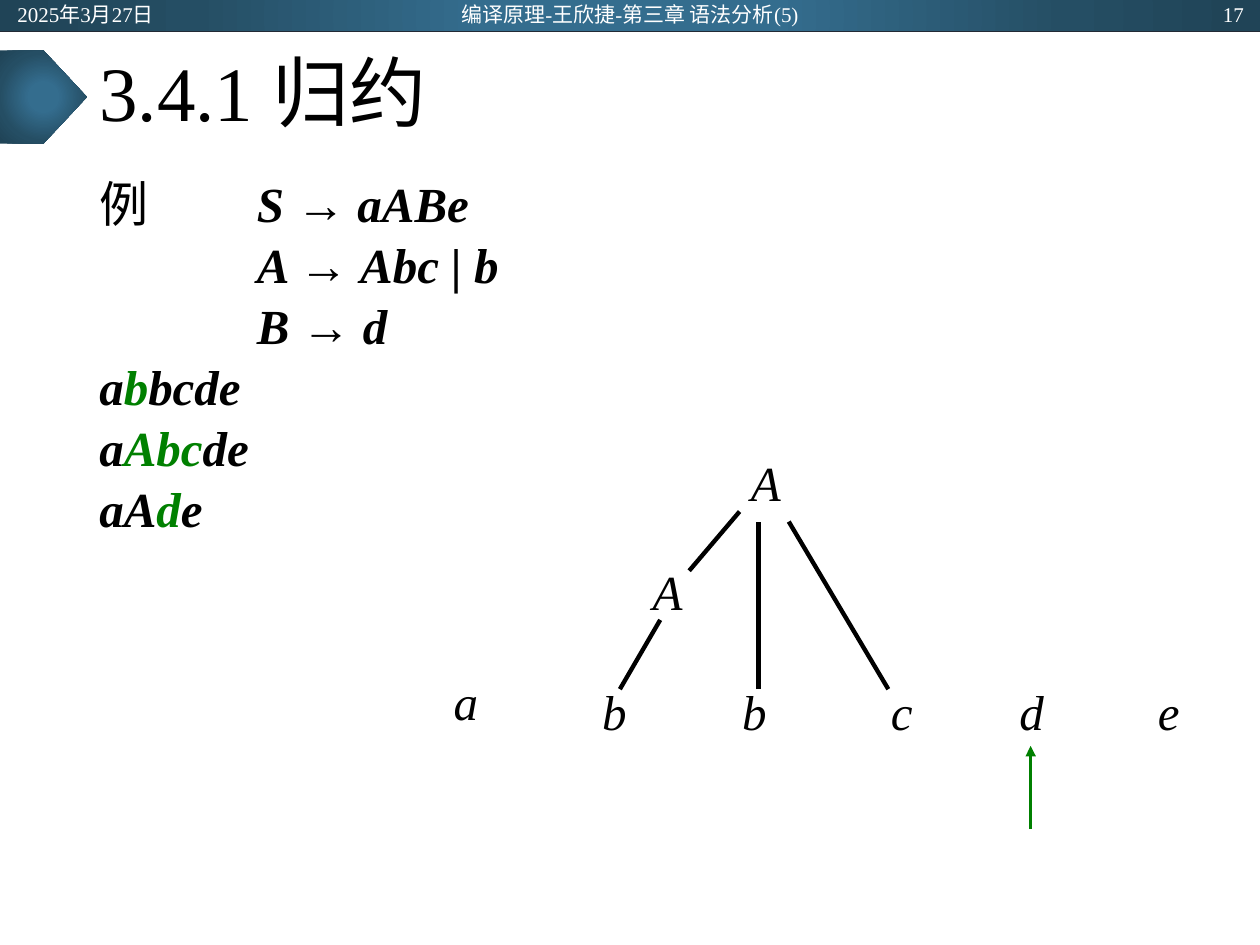
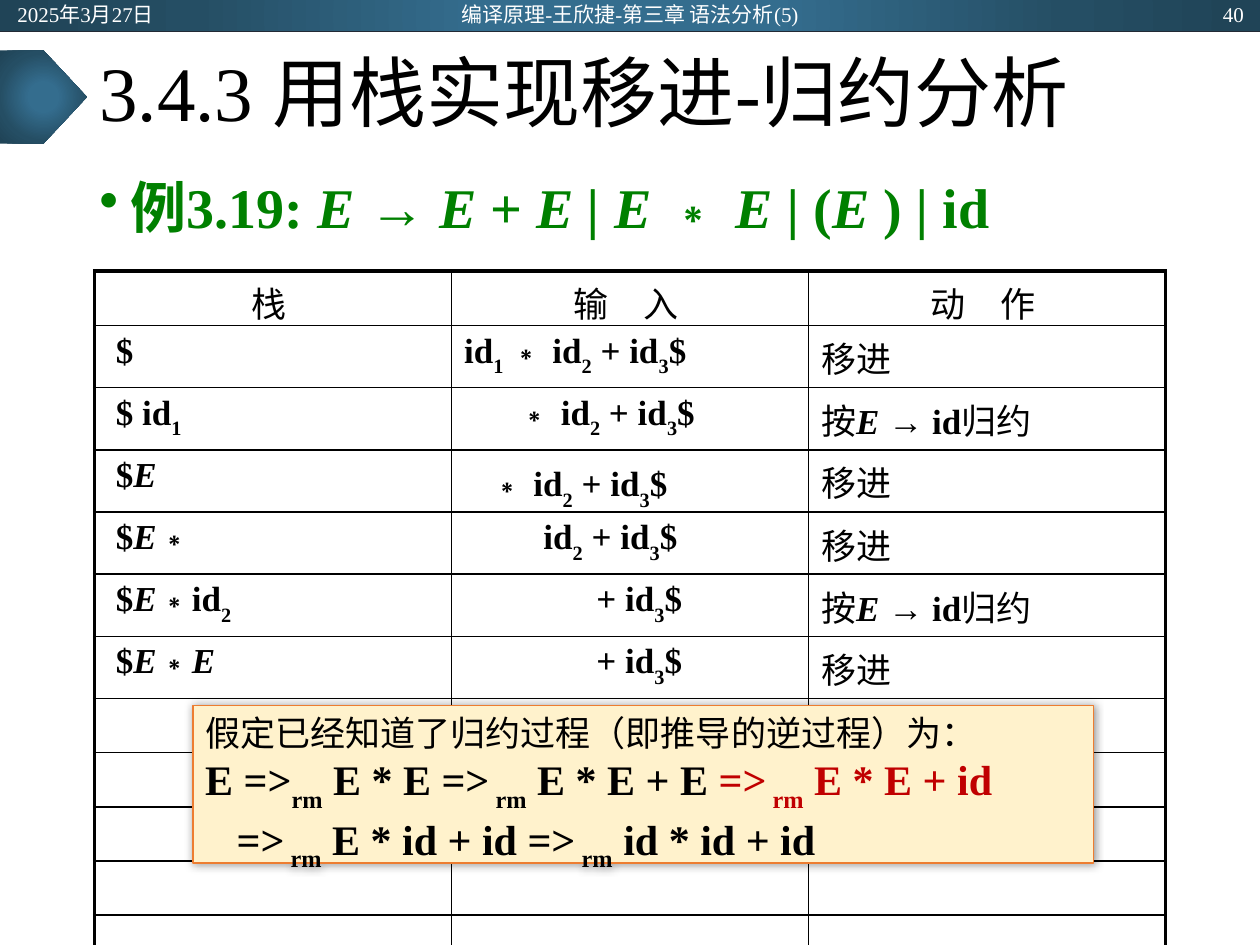
from lxml.etree import SubElement
from pptx import Presentation
from pptx.dml.color import RGBColor
from pptx.enum.shapes import MSO_CONNECTOR, MSO_SHAPE
from pptx.enum.text import MSO_ANCHOR, PP_ALIGN
from pptx.oxml import parse_xml
from pptx.oxml.ns import nsdecls, qn
from pptx.util import Inches, Pt

LATIN, CHINESE = "Times New Roman", "Noto Sans CJK SC"
BLACK, WHITE, GREEN, RED = "000000", "FFFFFF", "008000", "C00000"
BAND_STOPS = [(0, "346D8E"), (23, "346D8E"), (69, "254E64"), (97, "204457")]
DATE, COURSE = "2025年3月27日", "编译原理-王欣捷-第三章 语法分析(5)"
SPACE_WIDTH = 0.07


def color(value):
    """Turn a hex string into a colour."""
    return RGBColor.from_string(value)


class Deck:
    """Holds the shared style and the slide being built."""

    def __init__(self):
        """Start an empty presentation."""
        self.presentation = Presentation()
        self.presentation.slide_width = Inches(10)
        self.presentation.slide_height = Inches(7.5)
        self.slide = None

    def add_slide(self, title, number):
        """Add a slide with its band, marker, title and header texts."""
        layout = self.presentation.slide_layouts[6]
        self.slide = self.presentation.slides.add_slide(layout)
        self.band(MSO_SHAPE.RECTANGLE, (0, 0, 10, 0.25))
        self.line((0, 0.25), (10, 0.25), "222A35", 0.5)
        self.band(MSO_SHAPE.PENTAGON, (0, 0.4, 0.69, 0.74))
        frame = self.text_box((0.69, 0.25, 8.62, 1.04), MSO_ANCHOR.MIDDLE)
        self.paragraph(frame, [(title, "")], 44, spacing=0.9)
        headers = [
            (0.04, 2.25, DATE, PP_ALIGN.LEFT),
            (3.31, 3.38, COURSE, PP_ALIGN.CENTER),
            (7.72, 2.25, str(number), PP_ALIGN.RIGHT),
        ]
        for left, width, text, align in headers:
            frame = self.text_box((left, 0.01, width, 0.2), MSO_ANCHOR.MIDDLE)
            self.paragraph(frame, [(text, "w")], 12, align=align)

    def shape(self, kind, box):
        """Add a preset shape without shadow."""
        shape = self.slide.shapes.add_shape(kind, *map(Inches, box))
        shape.shadow.inherit = False
        return shape

    def band(self, kind, box):
        """Add a shape filled with the radial blue gradient."""
        shape = self.shape(kind, box)
        shape.line.fill.background()
        shape.fill.solid()
        stops = "".join(
            f'<a:gs pos="{position * 1000}"><a:srgbClr val="{value}"/></a:gs>'
            for position, value in BAND_STOPS
        )
        gradient = parse_xml(
            f'<a:gradFill {nsdecls("a")} rotWithShape="1"><a:gsLst>{stops}</a:gsLst>'
            '<a:path path="circle"><a:fillToRect l="50000" t="50000" r="50000" b="50000"/>'
            "</a:path></a:gradFill>"
        )
        properties = shape.element.spPr
        properties.replace(properties.find(qn("a:solidFill")), gradient)

    def line(self, start, end, line_color=BLACK, width=2.5, arrow=False):
        """Add a straight line, with an arrowhead at its end if asked."""
        points = map(Inches, (*start, *end))
        connector = self.slide.shapes.add_connector(MSO_CONNECTOR.STRAIGHT, *points)
        connector.line.color.rgb = color(line_color)
        connector.line.width = Pt(width)
        if arrow:
            SubElement(connector.line._get_or_add_ln(), qn("a:tailEnd"), type="triangle")
        SubElement(connector.element.spPr, qn("a:effectLst"))

    def text_box(self, box, anchor=MSO_ANCHOR.TOP, insets=None):
        """Add a wrapping text box and return its frame."""
        frame = self.slide.shapes.add_textbox(*map(Inches, box)).text_frame
        frame.word_wrap = True
        frame.vertical_anchor = anchor
        if insets:
            frame.margin_left = frame.margin_right = Inches(insets[0])
            frame.margin_top = frame.margin_bottom = Inches(insets[1])
        return frame

    def paragraph(self, frame, runs, size, align=PP_ALIGN.LEFT, spacing=None,
                  before=0, margin=0, indent=0, bullet=None):
        """Fill the empty first paragraph, or add one, run by run."""
        paragraph = frame.paragraphs[0]
        if paragraph.runs:
            paragraph = frame.add_paragraph()
            paragraph.space_before = Pt(before)
        paragraph.alignment = align
        if spacing:
            paragraph.line_spacing = spacing
        properties = paragraph._p.get_or_add_pPr()
        properties.set("marL", str(Inches(margin)))
        properties.set("indent", str(Inches(indent)))
        if bullet:
            SubElement(properties, qn("a:buChar"), char=bullet)
        for text, style in runs:
            self.run(paragraph, text, style, size)

    def run(self, paragraph, text, style, size):
        """Add a run: b bold, i italic, s subscript, c Chinese, g r w colours."""
        run = paragraph.add_run()
        run.text = text
        font = run.font
        font.size = Pt(size)
        font.name = CHINESE if "c" in style else LATIN
        font.bold = "b" in style
        font.italic = "i" in style
        inks = {"g": GREEN, "r": RED, "w": WHITE}
        font.color.rgb = color(next((inks[key] for key in style if key in inks), BLACK))
        if "s" in style:
            run._r.get_or_add_rPr().set("baseline", "-30000")

    def table(self, box, heights, rows):
        """Add a ruled table with a heavy frame; cells are (runs, indent)."""
        count, columns = len(heights), len(rows[0])
        graphic = self.slide.shapes.add_table(count, columns, *map(Inches, box))
        table = graphic.table
        table.first_row = table.horz_banding = False
        for row, height in zip(table.rows, heights):
            row.height = Inches(height)
        for row in range(count):
            for column in range(columns):
                cell = table.cell(row, column)
                cell.fill.background()
                edges = {"L": column == 0, "R": column == columns - 1,
                         "T": row == 0, "B": row == count - 1}
                self.borders(cell, edges)
                if row < len(rows):
                    runs, margin = rows[row][column]
                    align = PP_ALIGN.LEFT if row else PP_ALIGN.CENTER
                    self.paragraph(cell.text_frame, runs, 20, align, margin=margin)

    def borders(self, cell, edges):
        """Rule the four sides of a cell, heavier on the table's edge."""
        properties = cell._tc.get_or_add_tcPr()
        for index, (side, outer) in enumerate(edges.items()):
            width = Pt(2.25 if outer else 1)
            properties.insert(index, parse_xml(
                f'<a:ln{side} {nsdecls("a")} w="{width}"><a:solidFill>'
                f'<a:srgbClr val="{BLACK}"/></a:solidFill></a:ln{side}>'
            ))

    def callout(self, box):
        """Add a cream box with a soft shadow and return its frame."""
        shape = self.shape(MSO_SHAPE.RECTANGLE, box)
        shape.fill.solid()
        shape.fill.fore_color.rgb = color("FFF2CC")
        shape.line.color.rgb = color("ED7D31")
        shape.line.width = Pt(1)
        effects = shape.element.spPr.find(qn("a:effectLst"))
        shadow = SubElement(effects, qn("a:outerShdw"), blurRad=str(Pt(5)), dist="0")
        ink = SubElement(shadow, qn("a:srgbClr"), val=BLACK)
        SubElement(ink, qn("a:alpha"), val="40000")
        frame = shape.text_frame
        frame.word_wrap = True
        frame.vertical_anchor = MSO_ANCHOR.TOP
        return frame


def build_reduction(deck):
    """Build the reduction slide with its grammar and parse tree."""
    deck.add_slide("3.4.1 归约", 17)
    frame = deck.text_box((0.69, 1.38, 8.62, 5.38))
    tab = 1.25
    lines = [
        ([("例\t", ""), ("S ", "bi"), ("→ ", "b"), ("aABe", "bi")], tab, -tab),
        ([("A ", "bi"), ("→ ", "b"), ("Abc | b", "bi")], tab, 0),
        ([("B ", "bi"), ("→ ", "b"), ("d", "bi")], tab, 0),
        ([("a", "bi"), ("b", "big"), ("bcde", "bi")], 0, 0),
        ([("a", "bi"), ("Abc", "big"), ("de", "bi")], 0, 0),
        ([("aA", "bi"), ("d", "big"), ("e", "bi")], 0, 0),
    ]
    for runs, margin, indent in lines:
        deck.paragraph(frame, runs, 28, spacing=0.9, before=4.6, margin=margin, indent=indent)

    nodes = [
        ("a", 3.58, 5.32, 0.41), ("b", 4.76, 5.4, 0.47), ("b", 5.87, 5.4, 0.41),
        ("c", 7.05, 5.4, 0.55), ("d", 8.07, 5.4, 0.41), ("e", 9.17, 5.4, 0.47),
        ("A", 5.16, 4.45, 0.55), ("A", 5.94, 3.58, 0.4),
    ]
    for symbol, left, top, width in nodes:
        frame = deck.text_box((left, top, width, 0.55), insets=(0.02, 0.01))
        deck.paragraph(frame, [(symbol, "i")], 28)
    branches = [
        ((4.92, 5.47), (5.24, 4.92)), ((5.47, 4.53), (5.87, 4.06)),
        ((6.02, 5.47), (6.02, 4.14)), ((6.26, 4.14), (7.05, 5.47)),
    ]
    for start, end in branches:
        deck.line(start, end)
    deck.line((8.18, 6.58), (8.18, 5.92), GREEN, 2, arrow=True)


def build_shift_reduce(deck):
    """Build the shift-reduce slide with its stack table and callout."""
    deck.add_slide("3.4.3 用栈实现移进-归约分析", 40)
    frame = deck.text_box((0.69, 1.38, 8.62, 0.7))
    grammar = [
        ("例3.19:", "bg"), (" E ", "big"), ("→", "bg"), (" E ", "big"), ("+", "bg"),
        (" E | E ", "big"), ("∗", "bg"), (" E | ", "big"), ("(", "bg"), ("E ", "big"),
        (")", "bg"), (" | ", "big"), ("id", "bg"),
    ]
    deck.paragraph(frame, grammar, 32, spacing=0.9, margin=0.25, indent=-0.25, bullet="•")

    dollar, expression, star = ("$", "b"), ("E", "bi"), ("∗", "b")
    plus_third = [(" + id", "b"), ("3", "bs"), dollar]
    second = [("2", "bs"), *plus_third]
    times_second = [("∗ id", "b"), *second]
    last = [("+ id", "b"), *plus_third[1:]]
    shift = [("移进", "c")]
    reduce_id = [("按", "c"), ("E ", "bi"), ("→ id", "b"), ("归约", "c")]
    steps = [
        ([dollar], [("id", "b"), ("1 ", "bs"), *times_second], 0, shift),
        ([("$ id", "b"), ("1", "bs")], times_second, 6, reduce_id),
        ([dollar, expression], [(" ", "bc"), *times_second], 2, shift),
        ([dollar, expression, star], [("id", "b"), *second], 9, shift),
        ([dollar, expression, ("∗id", "b"), ("2", "bs")], last, 15, reduce_id),
        ([dollar, expression, star, expression], last, 15, shift),
    ]
    rows = [[([(head, "c")], 0) for head in ("栈 ", "输　入 ", "动　作 ")]]
    for stack, rest, spaces, action in steps:
        rows.append([(stack, SPACE_WIDTH), (rest, spaces * SPACE_WIDTH), (action, 0)])
    heights = [0.47 if row == 3 else 0.43 for row in range(12)]
    deck.table((0.75, 2.15, 8.5, 5.24), heights, rows)

    frame = deck.callout((1.53, 5.6, 7.15, 1.25))
    deck.paragraph(frame, [("假定已经知道了归约过程（即推导的逆过程）为：", "")], 20)
    derivation = [
        ("E =>", "b"), ("rm", "bs"), (" E * E =>", "b"), (" rm", "bs"),
        (" E * E + E ", "b"), ("=>", "br"), (" rm", "brs"), (" E * E + id", "br"),
    ]
    deck.paragraph(frame, derivation, 24)
    ending = [
        ("=>", "b"), (" rm", "bs"), (" E * id + id =>", "b"), (" rm", "bs"),
        (" id * id + id", "b"),
    ]
    deck.paragraph(frame, ending, 24, margin=0.25)


def main():
    """Build both slides and save them."""
    deck = Deck()
    build_reduction(deck)
    build_shift_reduce(deck)
    deck.presentation.save("out.pptx")


if __name__ == "__main__":
    main()
